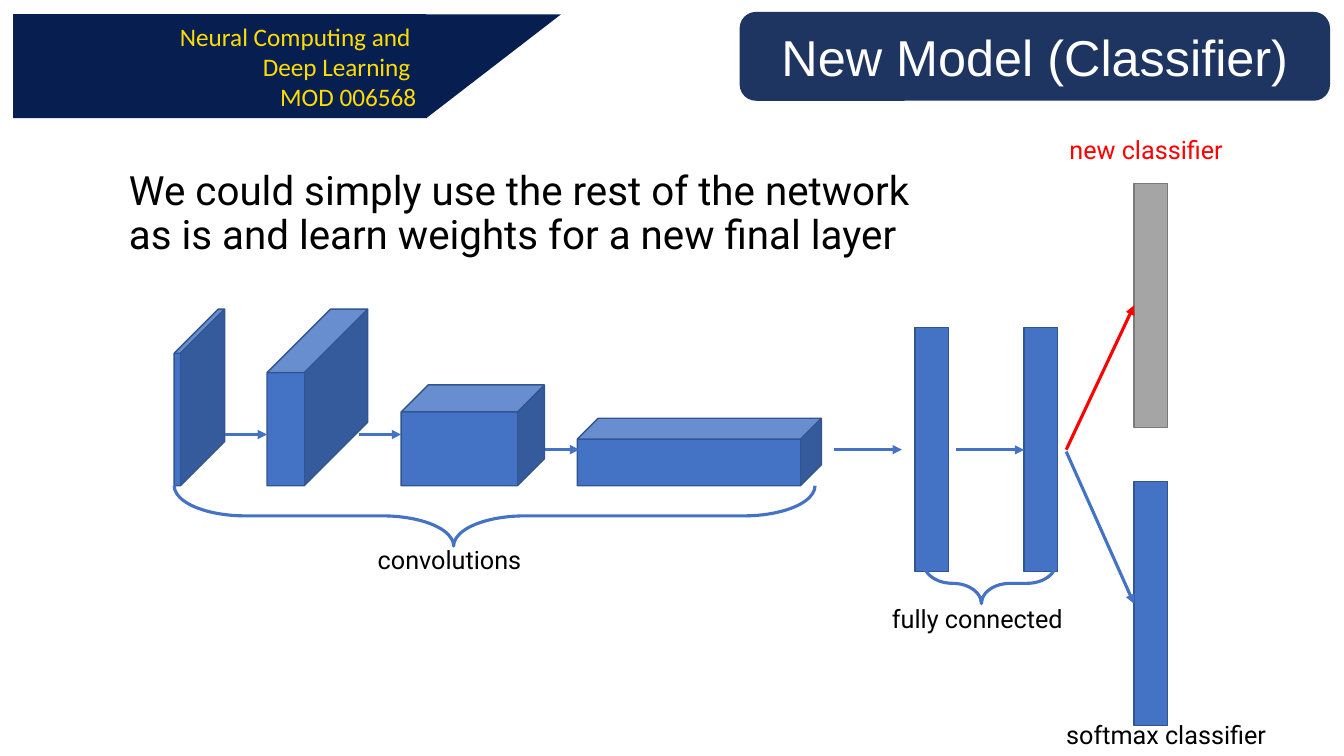
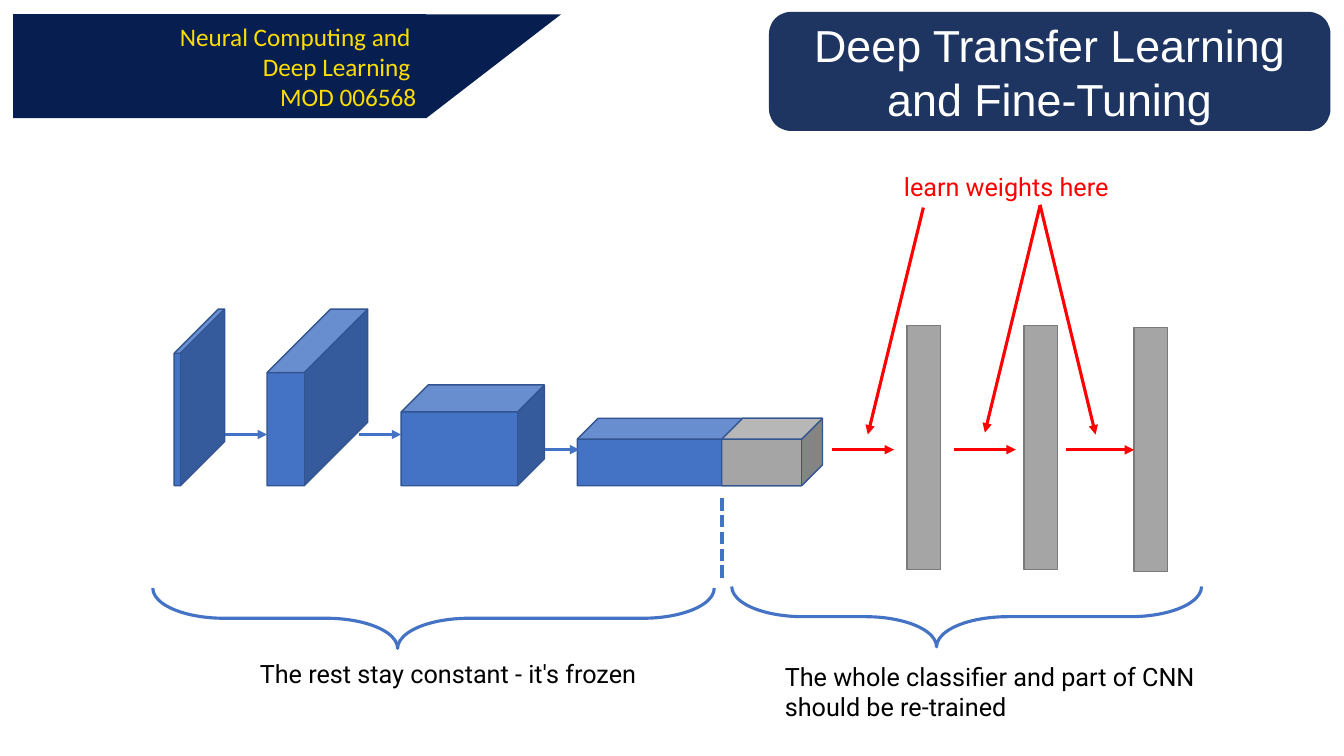
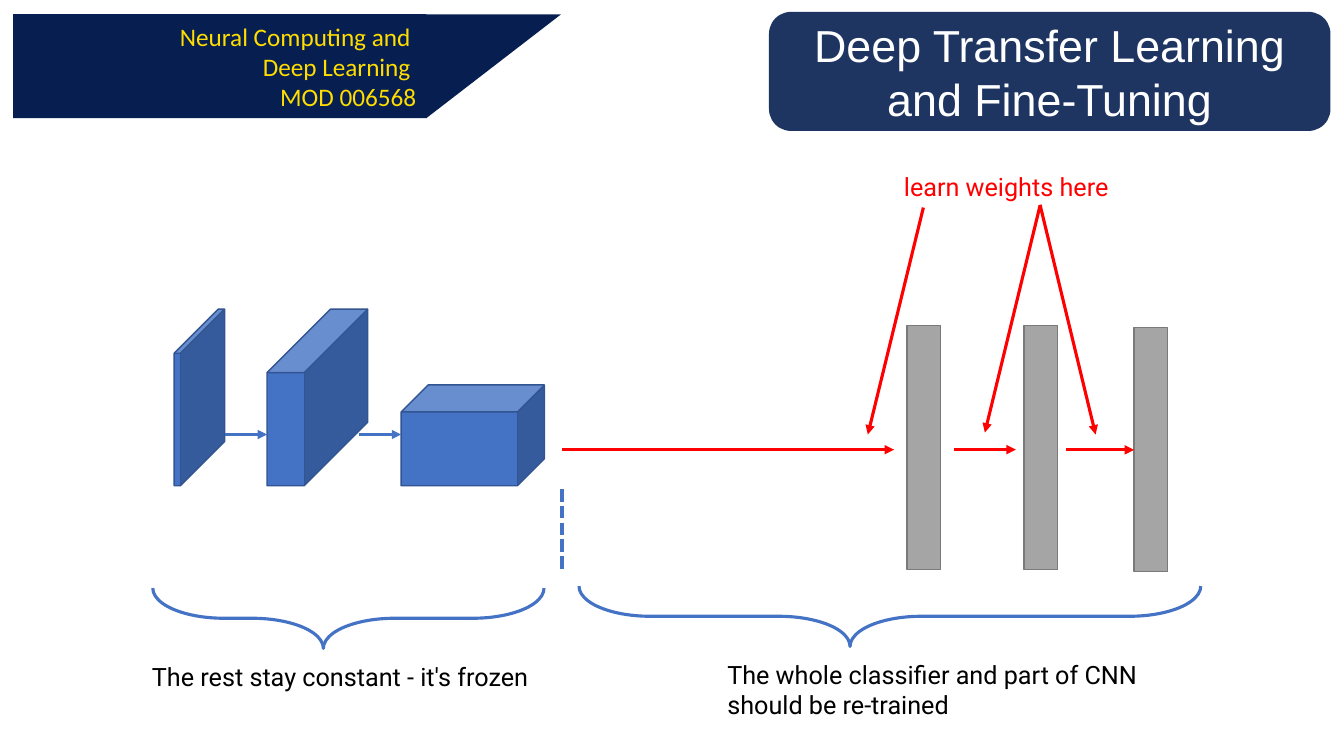
"""Build three slides on transfer learning with convolutional networks."""
from lxml.etree import SubElement
from pptx import Presentation
from pptx.dml.color import RGBColor
from pptx.enum.dml import MSO_LINE as Dash
from pptx.enum.shapes import MSO_CONNECTOR as Link, MSO_SHAPE as Kind
from pptx.enum.text import MSO_ANCHOR as Anchor, PP_ALIGN as Align
from pptx.oxml.ns import qn
from pptx.util import Cm, Pt

HUES = {
    "navy": "061F50", "gold": "FFDD00", "white": "FFFFFF", "black": "000000",
    "blue": "4472C4", "edge": "325491", "gray": "A5A5A5", "rim": "7A7A7A",
    "red": "FF0000",
}
RGB = {name: RGBColor.from_string(code) for name, code in HUES.items()}
BASE = 12.24
BAR_W, BAR_H = 0.84, 6.15
ROW = 8.26 + BAR_H / 2


def draw(parent, kind, box, fill=None, line=None, width=1, adjust=()):
    shape = parent.add_shape(kind, *map(Cm, box))
    shape.shadow.inherit = False
    if fill:
        shape.fill.solid()
        shape.fill.fore_color.rgb = RGB[fill]
    else:
        shape.fill.background()
    if line:
        shape.line.color.rgb = RGB[line]
        shape.line.width = Pt(width)
    else:
        shape.line.fill.background()
    for pos, value in enumerate(adjust):
        shape.adjustments[pos] = value
    return shape


def write(shape, text, font, size, hue, align=Align.LEFT, anchor=Anchor.MIDDLE, wrap=True):
    frame = shape.text_frame
    frame.word_wrap = wrap
    frame.vertical_anchor = anchor
    frame.text = text
    for para in frame.paragraphs:
        para.alignment = align
        para.font.name = font
        para.font.size = Pt(size)
        para.font.color.rgb = RGB[hue]
    return frame


cubes = [
    (4.39, 1.27, 4.45, 0.875, "blue"),
    (6.73, 2.54, 4.45, 0.631, "blue"),
    (10.11, 3.61, 2.54, 0.268, "blue"),
    (14.55, 6.15, 1.7, 0.31, "blue"),
]
steps = [
    (5.66, 10.95, 6.73, 10.95, "blue", None),
    (9.04, 10.95, 10.11, 10.95, "blue", None),
    (13.74, 11.33, 14.6, 11.33, "blue", None),
]
learn = [
    (26.87, ROW, 28.58, ROW, "red", 2),
    (24.03, 11.33, 25.6, 11.33, "red", None),
    (26.21, 5.16, 27.61, 10.95, "red", None),
    (26.21, 5.18, 24.82, 10.9, "red", None),
    (23.27, 5.23, 21.87, 10.95, "red", None),
]
grays = [(22.86, 8.2, "gray"), (25.81, 8.2, "gray"), (28.58, 8.26, "gray")]
hint = ("learn weights here", 22.53, 4.19, 5.84, "red")
frozen = "The rest stay constant - it's frozen"
tuned = "The whole classifier and part of CNN\nshould be re-trained"
tuning = ("Deep Transfer Learning and Fine-Tuning", 19.38, 14.15, 3.0, 32)

pages = [
    {
        "title": ("New Model (Classifier)", 18.64, 14.88, 2.24, 36),
        "lead": "We could simply use the rest of the network as is and learn weights for a new final layer",
        "cubes": cubes,
        "bars": [(23.06, 8.26, "blue"), (25.81, 8.26, "blue"),
                 (28.58, 12.14, "blue"), (28.58, 4.62, "gray")],
        "braces": [(4.39, 12.24, 16.15, 1.52), (23.28, 14.19, 3.33, 1.02)],
        "arrows": steps + [
            (21.03, 11.33, 22.73, 11.33, "blue", None),
            (24.1, ROW, 25.81, ROW, "blue", 1),
            (26.87, 11.38, 28.58, 15.21, "blue", 2),
            (26.87, 11.33, 28.58, 7.7, "red", 3),
        ],
        "labels": [
            ("convolutions", 9.27, 13.59, 4.24, "black"),
            ("fully connected", 22.23, 15.09, 5.03, "black"),
            ("softmax classifier", 26.62, 18.01, 5.61, "black"),
            ("new classifier", 26.7, 3.25, 4.45, "red"),
        ],
    },
    {
        "title": tuning,
        "cubes": cubes + [(18.19, 2.54, 1.7, 0.31, "gray")],
        "bars": grays,
        "braces": [(3.85, 14.82, 14.15, 1.52), (18.44, 14.78, 11.84, 1.52)],
        "arrows": steps + learn + [(20.96, 11.33, 22.53, 11.33, "red", None)],
        "labels": [hint, (frozen, 6.3, 16.46, 10.11, "black"),
                   (tuned, 19.53, 16.54, 11.91, "black")],
        "split": (18.19, 12.55, 14.6),
    },
    {
        "title": tuning,
        "cubes": cubes[:3],
        "bars": grays,
        "braces": [(3.85, 14.82, 9.86, 1.52), (14.59, 14.77, 15.67, 1.52)],
        "arrows": steps[:2] + learn + [(14.17, 11.33, 22.53, 11.33, "red", None)],
        "labels": [hint, (frozen, 3.58, 16.54, 10.11, "black"),
                   (tuned, 18.08, 16.48, 11.91, "black")],
        "split": (14.17, 12.32, 14.4),
    },
]

deck = Presentation()
deck.slide_width, deck.slide_height = Cm(33.87), Cm(19.05)

for page in pages:
    shapes = deck.slides.add_slide(deck.slide_layouts[6]).shapes

    if "lead" in page:
        lead = shapes.add_textbox(Cm(3), Cm(3.68), Cm(21.41), Cm(3.45))
        write(lead, page["lead"], "Roboto", 28.8, "black").paragraphs[0].line_spacing = 0.9

    for x, w, h, depth, hue in page["cubes"]:
        draw(shapes, Kind.CUBE, (x, BASE - h, w, h), hue, "edge", adjust=[depth])

    bars = []
    for x, y, hue in page["bars"]:
        rim = "edge" if hue == "blue" else "rim"
        bars.append(draw(shapes, Kind.RECTANGLE, (x, y, BAR_W, BAR_H), hue, rim))

    for x, y, span, depth in page["braces"]:
        box = (x + (span - depth) / 2, y + (depth - span) / 2, depth, span)
        brace = draw(shapes, Kind.RIGHT_BRACE, box, None, "blue", 2.25, [1.18, 0.564])
        brace.rotation = 90

    lines = [(*arrow, False) for arrow in page["arrows"]]
    if "split" in page:
        x, top, end = page["split"]
        lines.append((x, top, x, end, "blue", None, True))
    for x1, y1, x2, y2, hue, bar, dashed in lines:
        link = shapes.add_connector(Link.STRAIGHT, Cm(x1), Cm(y1), Cm(x2), Cm(y2))
        link.line.color.rgb = RGB[hue]
        link.line.width = Pt(3 if dashed else 2.25)
        props = link._element.spPr
        if dashed:
            link.line.dash_style = Dash.SQUARE_DOT
        else:
            SubElement(props.find(qn("a:ln")), qn("a:tailEnd"), type="triangle")
        if bar is not None:
            link.end_connect(bars[bar], 1)
        SubElement(props, qn("a:effectLst"))

    for text, x, y, w, hue in page["labels"]:
        wrap = text == tuned
        label = shapes.add_textbox(Cm(x), Cm(y), Cm(w), Cm(1.8 if wrap else 1.02))
        write(label, text, "Roboto", 18, hue, anchor=Anchor.TOP, wrap=wrap)

    text, x, w, h, size = page["title"]
    panel = draw(shapes, Kind.ROUNDED_RECTANGLE, (x, 0.3, w, h), "navy", adjust=[0.184])
    tint = next(panel._element.spPr.iter(qn("a:srgbClr")))
    SubElement(tint, qn("a:alpha"), val="90000")
    write(panel, text, "Arial", size, "white", Align.CENTER)

    group = shapes.add_group_shape().shapes
    wedge = draw(group, Kind.ISOSCELES_TRIANGLE, (10.74, 0.36, 3.4, 2.62), "navy", adjust=[1])
    wedge.rotation = 180
    band = draw(group, Kind.RECTANGLE, (0.33, 0.36, 10.41, 2.62), "navy")
    write(band, "Neural Computing and \nDeep Learning \nMOD 006568", "Calibri", 18, "gold", Align.RIGHT)

deck.save("out.pptx")
